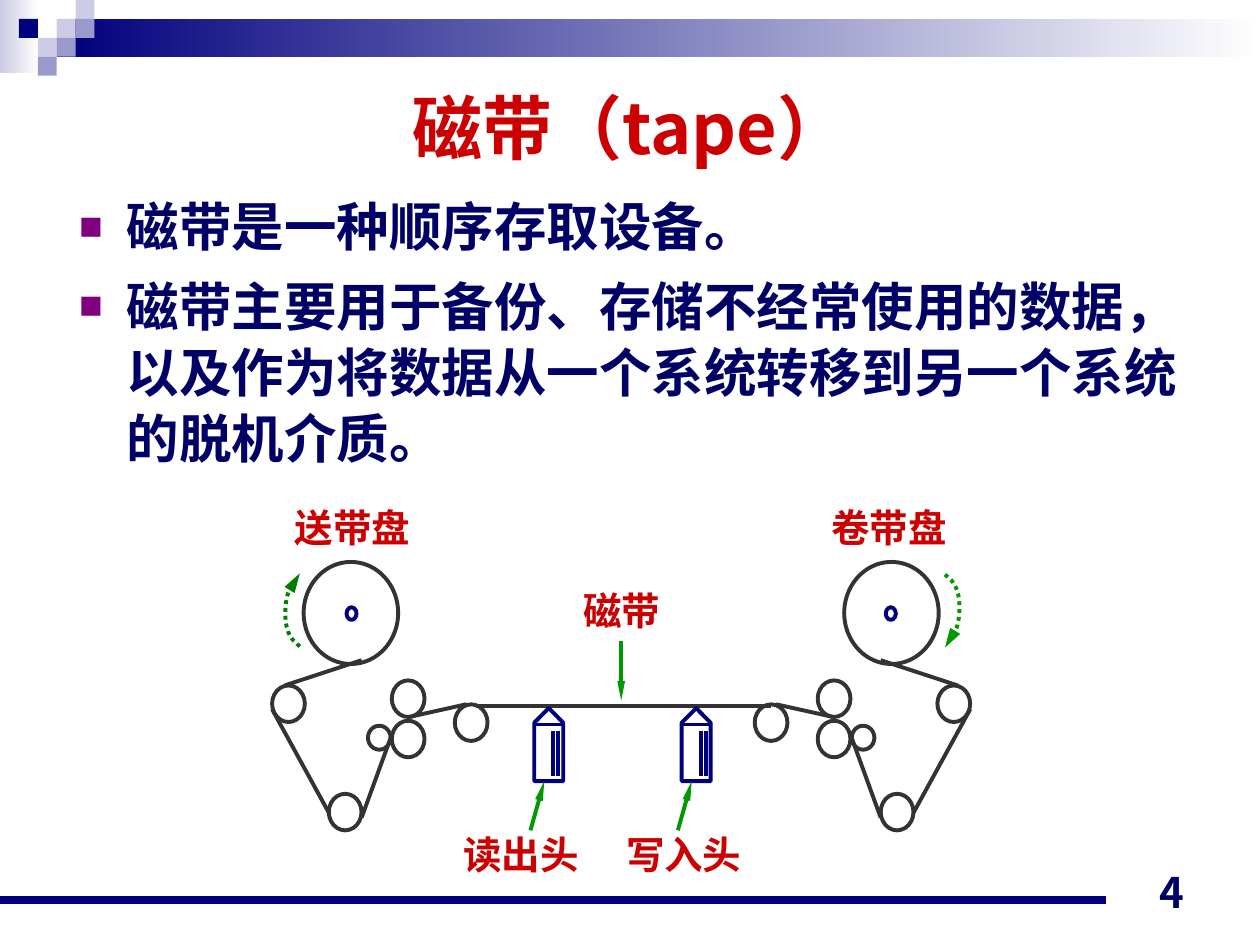
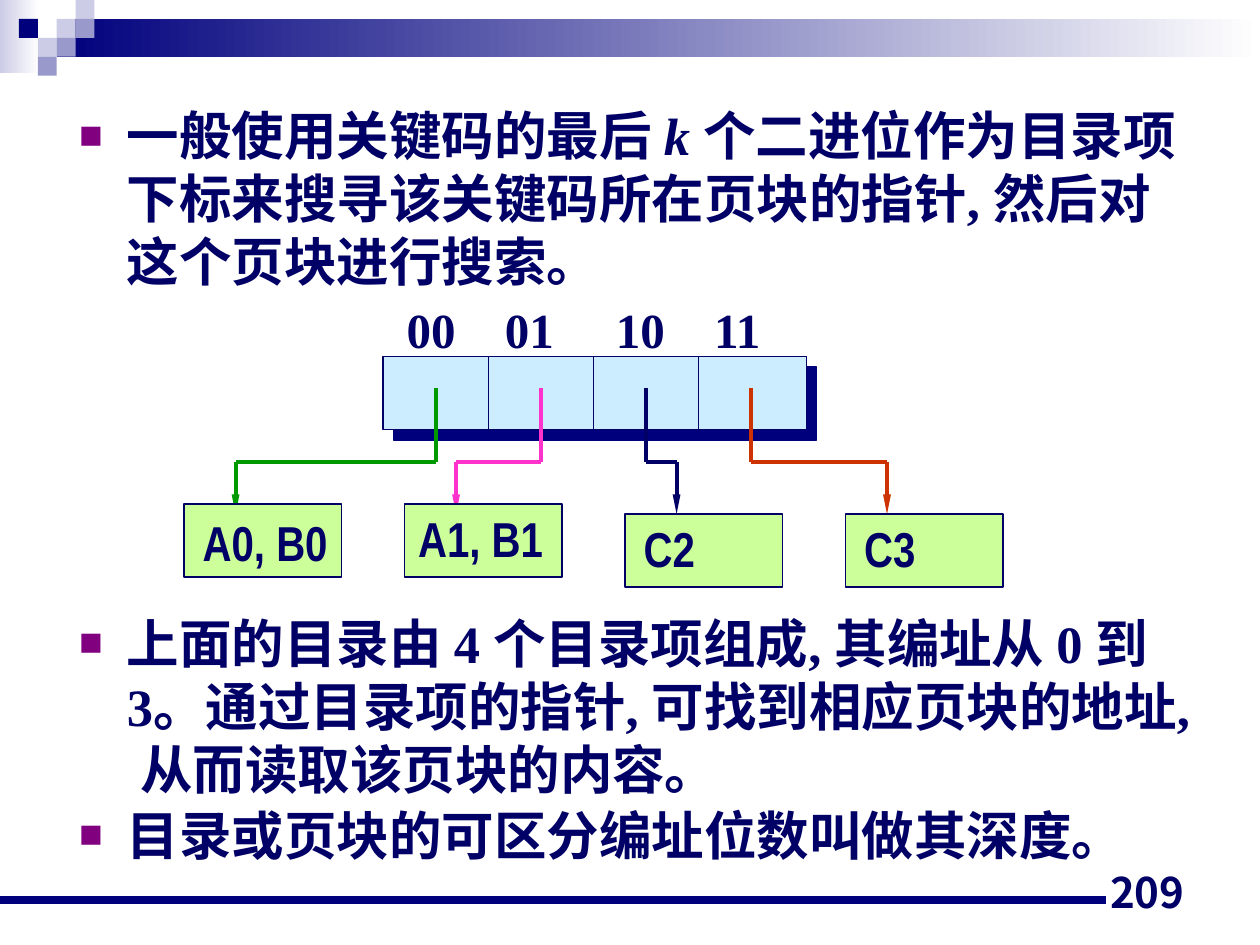
from dataclasses import dataclass
from typing import NamedTuple

from lxml import etree
from pptx import Presentation
from pptx.dml.color import RGBColor
from pptx.enum.dml import MSO_LINE
from pptx.enum.shapes import MSO_CONNECTOR, MSO_SHAPE
from pptx.enum.text import MSO_ANCHOR, PP_ALIGN
from pptx.oxml.ns import qn
from pptx.util import Inches, Pt


@dataclass(frozen=True)
class Theme:
    """Colours, fonts and sizes (points) used on every slide."""
    navy: str = "00007D"
    ink: str = "000066"
    red: str = "CC0000"
    white: str = "FFFFFF"
    lilac: str = "CCCCE6"
    violet: str = "9999CC"
    bullet: str = "800080"
    steel: str = "333333"
    green: str = "009900"
    dark_green: str = "008000"
    pink: str = "FF33CC"
    rust: str = "CC3300"
    page: str = "CCFF99"
    directory: str = "CCECFF"
    jp: str = "Noto Sans CJK JP"
    sc: str = "Noto Sans CJK SC"
    serif: str = "Times New Roman"
    narrow: str = "Arial Narrow"
    title: int = 40
    body: int = 30
    code: int = 28
    number: int = 24
    label: int = 22
    thick: float = 2.24
    thin: float = 0.74
    rule: float = 4.5


T = Theme()


class Style(NamedTuple):
    """Look of a run of text."""
    font: str
    size: int
    color: str


class Point(NamedTuple):
    """A place on the slide, in inches."""
    x: float
    y: float


class Item(NamedTuple):
    """A bulleted paragraph: (text, italic) runs and the space before it."""
    runs: list
    before: float = 7.5


class Page(NamedTuple):
    """A page block, its label and the pointer that leads to it."""
    text: str
    top: float
    label: Point
    target: float
    color: str


TITLE = Style(T.jp, T.title, T.red)
NUMBER = Style(T.jp, T.number, T.ink)
LABEL = Style(T.serif, T.label, T.red)


def rgb(color):
    """Turn a hex string into a colour."""
    return RGBColor.from_string(color)


def add_xml(parent, tag, **attrs):
    """Append a DrawingML element to parent."""
    return etree.SubElement(parent, qn(tag), {k: str(v) for k, v in attrs.items()})


def add_arrowhead(sp, width="sm"):
    """Put a triangle at the end of a line or open outline."""
    ln = sp._element.spPr.find(qn("a:ln"))
    add_xml(ln, "a:tailEnd", type="triangle", w=width, len="lg")


def set_line(sp, color, width):
    """Set colour and width of an outline."""
    sp.line.color.rgb = rgb(color)
    sp.line.width = Pt(width)


def add_shape(s, kind, x, y, w, h, fill, line=None, width=T.thick):
    """Add a preset shape; a pair of fill colours gives a gradient."""
    sp = s.shapes.add_shape(kind, Inches(x), Inches(y), Inches(w), Inches(h))
    sp.shadow.inherit = False
    if isinstance(fill, tuple):
        sp.fill.gradient()
        sp.fill.gradient_angle = 180
        for stop, color in zip(sp.fill.gradient_stops, fill):
            stop.color.rgb = rgb(color)
    else:
        sp.fill.solid()
        sp.fill.fore_color.rgb = rgb(fill)
    if line:
        set_line(sp, line, width)
    else:
        sp.line.fill.background()
    return sp


def add_line(s, start, end, color, width=T.thick, arrow=False):
    """Add a straight line, with an arrowhead at its end if asked."""
    sp = s.shapes.add_connector(MSO_CONNECTOR.STRAIGHT,
                                *(Inches(v) for v in (*start, *end)))
    set_line(sp, color, width)
    if arrow:
        add_arrowhead(sp)
    add_xml(sp._element.spPr, "a:effectLst")


def add_run(p, text, style, italic=False):
    """Add a bold run with one font for Latin and Chinese text."""
    r = p.add_run()
    r.text = text
    r.font.name, r.font.size = style.font, Pt(style.size)
    r.font.bold, r.font.italic = True, italic
    r.font.color.rgb = rgb(style.color)
    east = T.jp if style.font == T.jp else T.sc
    add_xml(r._r.get_or_add_rPr(), "a:ea", typeface=east)


def add_frame(s, x, y, w, h, anchor=MSO_ANCHOR.TOP):
    """Add an empty text box and return its text frame."""
    tf = s.shapes.add_textbox(Inches(x), Inches(y), Inches(w), Inches(h)).text_frame
    tf.word_wrap = True
    tf.vertical_anchor = anchor
    return tf


def add_text(s, x, y, w, h, text, style, align=PP_ALIGN.LEFT, anchor=MSO_ANCHOR.TOP):
    """Add a one-paragraph text box and return the paragraph."""
    p = add_frame(s, x, y, w, h, anchor).paragraphs[0]
    p.alignment = align
    add_run(p, text, style)
    return p


def add_body(s, y, h, items, font, spacing=1.0):
    """Add the bulleted body text."""
    tf = add_frame(s, 0.53, y, 9, h)
    style = Style(font, T.body, T.ink)
    for i, item in enumerate(items):
        p = tf.add_paragraph() if i else tf.paragraphs[0]
        p.line_spacing = spacing
        p.space_before = Pt(item.before)
        pPr = p._p.get_or_add_pPr()
        pPr.set("marL", str(Inches(0.38)))
        pPr.set("indent", str(Inches(-0.38)))
        add_xml(add_xml(pPr, "a:buClr"), "a:srgbClr", val=T.bullet)
        add_xml(pPr, "a:buSzPct", val=75000)
        add_xml(pPr, "a:buFont", typeface=T.serif)
        add_xml(pPr, "a:buChar", char="■")
        for text, italic in item.runs:
            add_run(p, text, style, italic)


def add_base(prs, number):
    """Add a slide with the corner pattern, top band, rule and number."""
    s = prs.slides.add_slide(prs.slide_layouts[6])
    add_shape(s, MSO_SHAPE.RECTANGLE, 0, 0, 0.31, 0.58, (T.white, T.lilac))
    add_shape(s, MSO_SHAPE.RECTANGLE, 0.45, 0.15, 9.55, 0.3, (T.white, T.navy))
    side = 0.15
    for col, row, color in [(3, 1, T.lilac), (4, 0, T.lilac), (4, 1, T.violet),
                            (2, 2, T.lilac), (1, 1, T.navy), (3, 2, T.violet),
                            (2, 3, T.violet)]:
        add_shape(s, MSO_SHAPE.RECTANGLE, col * side, row * side, side, side, color)
    add_line(s, (0, 7.14), (8.78, 7.14), T.navy, T.rule)
    add_text(s, 7.17, 6.83, 2.33, 0.5, str(number), NUMBER, PP_ALIGN.RIGHT,
             MSO_ANCHOR.BOTTOM)
    return s


def add_tape_side(s, mirrored):
    """Draw the reel, rollers and tape of one side of the drive."""
    def flip(x, w=0.0):
        return 9.86 - x - w if mirrored else x

    def disc(x, y, w, h, color=T.steel):
        add_shape(s, MSO_SHAPE.OVAL, flip(x, w), y, w, h, T.white, color)

    disc(2.41, 4.46, 0.75, 0.81)
    disc(2.75, 4.82, 0.08, 0.1, T.navy)
    for x, y in [(2.16, 5.44), (2.61, 6.3), (3.11, 5.4), (3.11, 5.72), (3.61, 5.59)]:
        disc(x, y, 0.26, 0.29)
    disc(2.92, 5.76, 0.18, 0.19)
    for x1, y1, x2, y2 in [(2.87, 5.24, 2.26, 5.44), (2.16, 5.63, 2.61, 6.45),
                           (2.87, 6.49, 3.11, 5.83), (3.25, 5.69, 3.7, 5.59)]:
        add_line(s, (flip(x1), y1), (flip(x2), y2), T.steel)


def add_head(s, x):
    """Draw a read or write head with its left edge at x."""
    sp = add_shape(s, MSO_SHAPE.FLOWCHART_OFFPAGE_CONNECTOR, x, 5.62, 0.23, 0.58,
                   T.white, T.navy)
    sp.rotation = 180
    for dx in (0.15, 0.19):
        add_line(s, (x + dx, 5.8), (x + dx, 6.16), T.navy)
    add_line(s, (x, 5.75), (x + 0.23, 5.75), T.navy)


def bezier(a, b, c, d, steps=8):
    """Return points along a cubic curve, without its start."""
    def mix(t, *v):
        u = 1 - t
        return u**3 * v[0] + 3 * u * u * t * v[1] + 3 * u * t * t * v[2] + t**3 * v[3]
    return [Point(*(mix(i / steps, *axis) for axis in zip(a, b, c, d)))
            for i in range(1, steps + 1)]


def add_turn_arrow(s, color, turned):
    """Draw a dotted arc beside a reel; turned rotates it half a turn."""
    start = Point(2.38, 5.13)
    points = [start, *bezier(start, (2.33, 5.09), (2.3, 5.06), (2.28, 4.99)),
              *bezier((2.28, 4.99), (2.26, 4.93), (2.26, 4.81), (2.28, 4.73)),
              *bezier((2.28, 4.73), (2.3, 4.66), (2.36, 4.58), (2.38, 4.55))]
    if turned:
        points = [Point(9.88 - p.x, 9.69 - p.y) for p in points]
    emu = [(Inches(p.x), Inches(p.y)) for p in points]
    fb = s.shapes.build_freeform(*emu[0])
    fb.add_line_segments(emu[1:], close=False)
    sp = fb.convert_to_shape()
    sp.shadow.inherit = False
    sp.fill.background()
    set_line(sp, color, T.thick)
    sp.line.dash_style = MSO_LINE.ROUND_DOT
    add_arrowhead(sp, "med")


def build_tape(prs):
    """Slide about magnetic tape, with a diagram of the drive."""
    s = add_base(prs, 4)
    add_text(s, 0.5, 0.5, 9, 1.01, "磁带（tape）", TITLE, PP_ALIGN.CENTER,
             MSO_ANCHOR.MIDDLE)
    add_body(s, 1.47, 2.84, [
        Item([("磁带是一种顺序存取设备。", False)]),
        Item([("磁带主要用于备份、存储不经常使用的数据，以及作为将数据从一个系统"
               "转移到另一个系统的脱机介质。", False)]),
    ], T.sc, 1.05)
    for mirrored in (False, True):
        add_tape_side(s, mirrored)
    add_line(s, (3.78, 5.6), (6.12, 5.6), T.steel)
    for x in (4.24, 5.41):
        add_head(s, x)
        add_line(s, (x - 0.03, 6.59), (x + 0.08, 6.2), T.green, arrow=True)
    add_line(s, (4.93, 5.09), (4.93, 5.56), T.green, arrow=True)
    for text, x, y, w in [("读出头", 3.58, 6.55, 1.14), ("写入头", 4.87, 6.55, 1.19),
                          ("磁带", 4.53, 4.61, 0.94), ("送带盘", 2.24, 3.95, 1.18),
                          ("卷带盘", 6.5, 3.95, 1.25)]:
        add_text(s, x, y, w, 0.46, text, LABEL, PP_ALIGN.JUSTIFY)
    add_turn_arrow(s, T.dark_green, False)
    add_turn_arrow(s, T.green, True)


def build_directory(prs):
    """Slide about a directory whose entries point to page blocks."""
    s = add_base(prs, 209)
    add_body(s, 0.77, 6.24, [
        Item([("一般使用关键码的最后 ", False), ("k ", True),
              ("个二进位作为目录项下标来搜寻该关键码所在页块的指针, "
               "然后对这个页块进行搜索。", False)]),
        Item([("上面的目录由 4 个目录项组成, 其编址从 0 到 3。通过目录项的指针, "
               "可找到相应页块的地址, 从而读取该页块的内容。", False)], before=182),
        Item([("目录或页块的可区分编址位数叫做其深度。", False)], before=1.9),
    ], T.serif)
    pages = [Page("A0, B0", 4, Point(1.51, 4.02), 1.87, T.green),
             Page("A1, B1", 4, Point(3.22, 3.99), 3.62, T.pink),
             Page("C2", 4.08, Point(5.01, 4.07), 5.37, T.ink),
             Page("C3", 4.08, Point(6.76, 4.07), 7.04, T.rust)]
    left, top, cell, bend = 3.04, 2.83, 0.835, 3.67
    for i, page in enumerate(pages):
        add_line(s, (page.target, bend), (page.target, 4.08), page.color, arrow=True)
        add_shape(s, MSO_SHAPE.RECTANGLE, 1.46 + 1.75 * i, page.top, 1.25, 0.58,
                  T.page, T.ink, T.thin)
        add_text(s, *page.label, 1.25, 0.57, page.text,
                 Style(T.narrow, T.code, T.ink))

    sp = add_shape(s, MSO_SHAPE.RECTANGLE, left, top, 3.36, 0.58, T.directory,
                   T.ink, T.thin)
    shadow = add_xml(sp._element.spPr.find(qn("a:effectLst")), "a:outerShdw",
                     dist=Pt(8.5), dir=45 * 60000, algn="ctr", rotWithShape=0)
    add_xml(shadow, "a:srgbClr", val=T.navy)
    p = add_text(s, 3.13, 2.33, 3.1, 0.57, "00\t01\t10\t11",
                 Style(T.serif, T.code, T.ink))
    tabs = add_xml(p._p.get_or_add_pPr(), "a:tabLst")
    for stop in (0.78, 1.66, 2.44):
        add_xml(tabs, "a:tab", pos=Inches(stop), algn="l")

    for i, page in enumerate(pages):
        if i:
            add_line(s, (left + cell * i, top), (left + cell * i, 3.42), T.ink, T.thin)
        x = left + cell * (i + 0.5)
        add_line(s, (x, 3.08), (x, bend), page.color)
        add_line(s, (x, bend), (page.target, bend), page.color)


prs = Presentation()
prs.slide_width, prs.slide_height = Inches(10), Inches(7.5)
build_tape(prs)
build_directory(prs)
prs.save("out.pptx")
